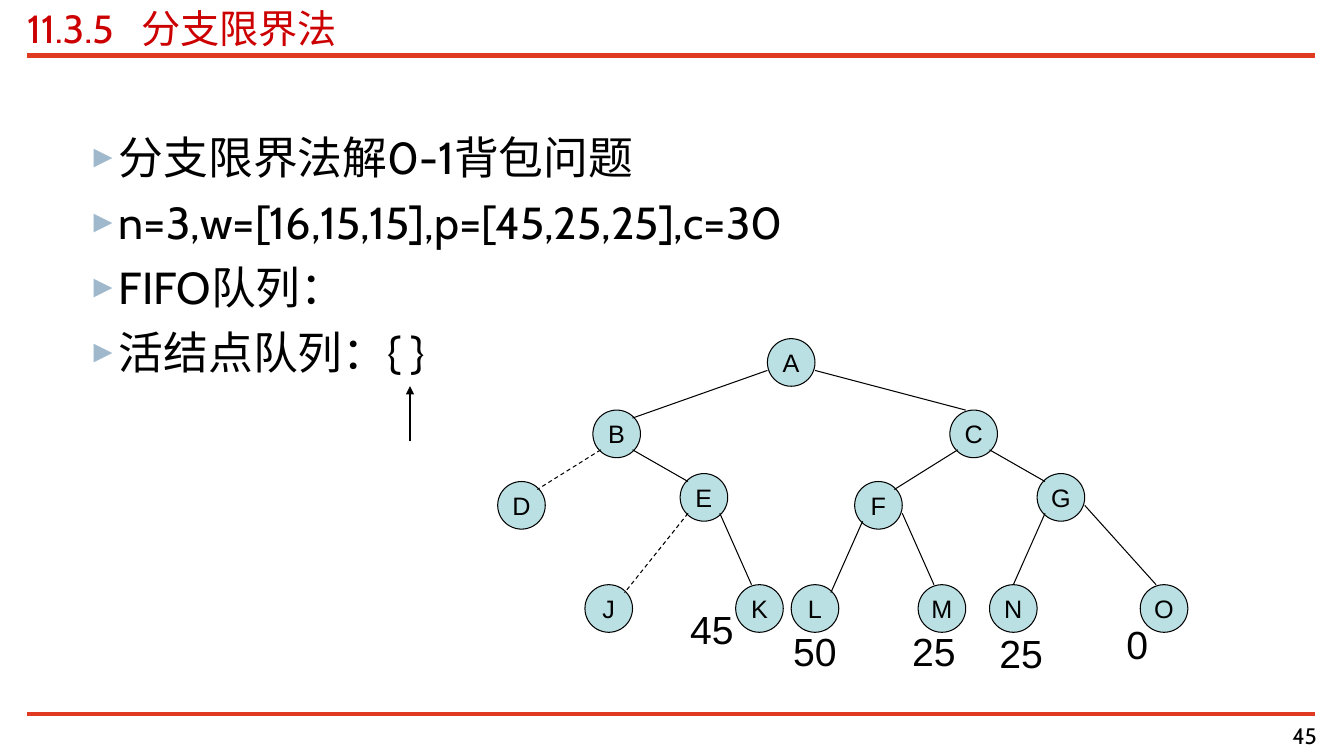
from lxml.etree import SubElement
from pptx import Presentation
from pptx.dml.color import RGBColor
from pptx.enum.dml import MSO_LINE_DASH_STYLE as Dash
from pptx.enum.shapes import MSO_CONNECTOR as Link, MSO_SHAPE as Shape
from pptx.enum.text import MSO_ANCHOR as Anchor, PP_ALIGN as Align
from pptx.oxml.ns import qn
from pptx.util import Cm, Inches, Pt

TITLE = "11.3.5\t分支限界法"
POINTS = [
    "分支限界法解0-1背包问题",
    "n=3,w=[16,15,15],p=[45,25,25],c=30",
    "FIFO队列：",
    "活结点队列：{ }",
]
PAGE = "45"

# Tree nodes: column and row on the tree grid
NODES = {
    "A": (34, 0), "B": (12, 9), "C": (57, 9),
    "D": (0, 18), "E": (23, 17), "F": (45, 18), "G": (68, 17),
    "J": (11, 31), "K": (30, 31), "L": (37, 31),
    "M": (53, 31), "N": (62, 31), "O": (81, 31),
}
# Edges: the two nodes, then the cell of each node where the line ends
EDGES = [
    ("AB", (0, 4), (5, 1)), ("AC", (6, 4), (2, 0)),
    ("BD", (1, 5), (5, 1)), ("BE", (5, 5), (1, 1)),
    ("CF", (1, 5), (5, 1)), ("CG", (5, 5), (1, 1)),
    ("EJ", (1, 5), (5, 1)), ("EK", (5, 5), (2, 0)),
    ("FL", (1, 5), (5, 1)), ("FM", (6, 4), (2, 0)),
    ("GN", (1, 5), (3, 0)), ("GO", (6, 4), (2, 0)),
]
CUT = {"BD", "EJ"}
# Leaf values: text, column, row, width in cells
VALUES = [("45", 23, 33, 10), ("50", 36, 35.7, 9), ("25", 51, 35.7, 9),
          ("25", 62, 36, 9), ("0", 78, 34.8, 9)]

RED = RGBColor(0xE1, 0x3A, 0x23)
CRIMSON = RGBColor(0xCC, 0x00, 0x00)
BLACK = RGBColor(0, 0, 0)
AQUA = RGBColor(0xBB, 0xE0, 0xE3)
BULLET = "9FB8CC"

CELL = Cm(0.2)
SIZE = 6  # node diameter in cells
LEFT, TOP = Inches(4.94), Inches(3.36)
EDGE, RIGHT = Inches(0.27), Inches(13.05)
WIDE = RIGHT - EDGE

deck = Presentation()
deck.slide_width, deck.slide_height = Inches(13.34), Inches(7.5)
slide = deck.slides.add_slide(deck.slide_layouts[5])
shapes = slide.shapes


def cell(col, row):
    return int(LEFT + col * CELL), int(TOP + row * CELL)


def style(par, face, size, color=BLACK):
    par.font.name, par.font.size = face, Pt(size)
    par.font.color.rgb = color


def clear(frame):
    frame.margin_left = frame.margin_right = 0
    frame.margin_top = frame.margin_bottom = 0


def draw(start, end, color=BLACK, width=0.75):
    link = shapes.add_connector(Link.STRAIGHT, *start, *end)
    SubElement(link._element.spPr, qn("a:effectLst"))
    link.line.color.rgb = color
    link.line.width = Pt(width)
    return link


def write(text, left, top, width, height, face, size):
    frame = shapes.add_textbox(left, top, width, height).text_frame
    frame.word_wrap = True
    par = frame.paragraphs[0]
    par.text = text
    style(par, face, size)
    return frame


def mark(par):
    """Give the paragraph a hanging triangle bullet."""
    props = par._p.get_or_add_pPr()
    props.set("marL", str(Inches(0.81)))
    props.set("indent", str(Inches(-0.31)))
    color = SubElement(props, qn("a:buClr"))
    SubElement(color, qn("a:srgbClr"), val=BULLET)
    SubElement(props, qn("a:buSzPct"), val="70000")
    SubElement(props, qn("a:buFont"), typeface="Arial")
    SubElement(props, qn("a:buChar"), char="►")


# Frame lines and title
for y, width in ((0.55, 4), (7.08, 3)):
    draw((EDGE, Inches(y)), (RIGHT, Inches(y)), RED, width)

title = shapes.title
title.left, title.top = EDGE, Inches(0.04)
title.width, title.height = WIDE, Inches(0.47)
title.text_frame.text = TITLE
title.text_frame.vertical_anchor = Anchor.MIDDLE
clear(title.text_frame)
head = title.text_frame.paragraphs[0]
head.alignment = Align.LEFT
tabs = SubElement(head._p.get_or_add_pPr(), qn("a:tabLst"))
SubElement(tabs, qn("a:tab"), pos=str(Inches(1.13)), algn="l")
style(head, "Cabin", 28, CRIMSON)

# Bullet points
body = shapes.add_textbox(EDGE, Inches(1.24), WIDE, Inches(2.6)).text_frame
body.word_wrap = True
for i, text in enumerate(POINTS):
    par = body.add_paragraph() if i else body.paragraphs[0]
    par.text = text
    mark(par)
    if i:
        par.space_before = Pt(8)
    style(par, "Cabin", 32)

arrow = draw((Inches(4.07), Inches(4.38)), (Inches(4.07), Inches(3.83)))
SubElement(arrow.line._get_or_add_ln(), qn("a:tailEnd"), type="triangle")

# Search tree
for name, (col, row) in NODES.items():
    node = shapes.add_shape(Shape.OVAL, *cell(col, row),
                            SIZE * CELL, SIZE * CELL)
    node.shadow.inherit = False
    node.fill.solid()
    node.fill.fore_color.rgb = AQUA
    node.line.color.rgb = BLACK
    node.line.width = Pt(0.75)
    frame = node.text_frame
    frame.word_wrap = False
    frame.vertical_anchor = Anchor.MIDDLE
    par = frame.paragraphs[0]
    par.text, par.alignment = name, Align.CENTER
    style(par, "Arial", 18)

for pair, *ports in EDGES:
    ends = [cell(NODES[n][0] + dx, NODES[n][1] + dy)
            for n, (dx, dy) in zip(pair, ports)]
    link = draw(*ends)
    if pair in CUT:
        link.line.dash_style = Dash.DASH

for text, col, row, cols in VALUES:
    write(text, *cell(col, row), cols * CELL, Inches(0.57), "Arial", 28)

# Page number
foot = write(PAGE, Inches(10.39), Inches(7.16), Inches(2.68), Inches(0.31),
             "Cabin", 16)
clear(foot)
foot.paragraphs[0].alignment = Align.RIGHT

deck.save("out.pptx")
